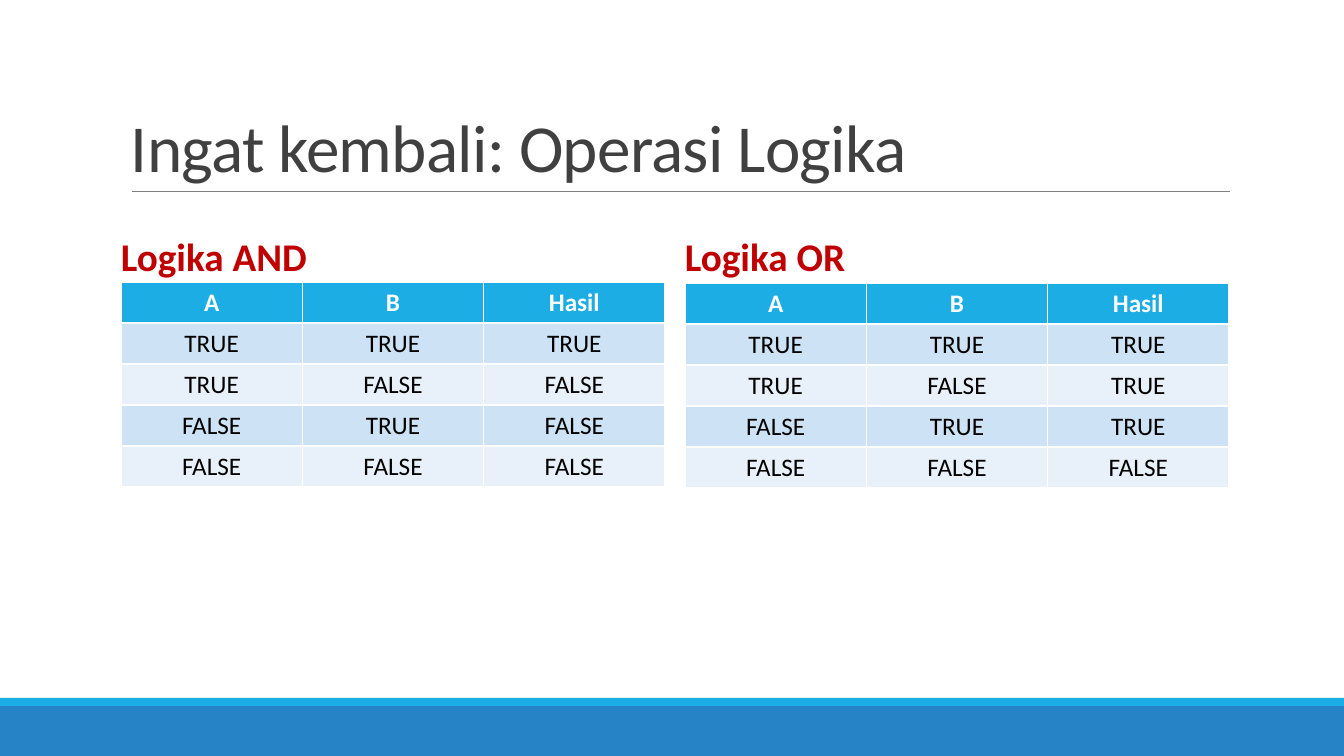
from dataclasses import dataclass
from itertools import product
from typing import Callable

from pptx import Presentation
from pptx.dml.color import RGBColor
from pptx.enum.shapes import MSO_CONNECTOR, MSO_SHAPE
from pptx.enum.text import MSO_ANCHOR, PP_ALIGN
from pptx.oxml.ns import qn
from pptx.shapes.autoshape import Shape
from pptx.slide import Slide
from pptx.util import Pt

EMU_PER_PX = 914400 / 100.8
FONT = "Calibri"
WHITE = RGBColor(0xFF, 0xFF, 0xFF)
BLACK = RGBColor(0x00, 0x00, 0x00)
CYAN = RGBColor(0x1C, 0xAD, 0xE4)
BLUE = RGBColor(0x26, 0x83, 0xC6)
GRAY = RGBColor(0x80, 0x80, 0x80)
DARK_GRAY = RGBColor(0x40, 0x40, 0x40)
RED = RGBColor(0xC0, 0x00, 0x00)
BANDS = (RGBColor(0xCD, 0xE3, 0xF5), RGBColor(0xE8, 0xF1, 0xFA))

HEADER = ("A", "B", "Hasil")
ROW_HEIGHT = 41
TABLE_WIDTH = 544


@dataclass(frozen=True)
class Bar:
    top: int
    height: int
    color: RGBColor


@dataclass(frozen=True)
class TruthTable:
    heading: str
    left: int
    top: int
    heading_width: int
    operation: Callable[[bool, bool], bool]


BARS = (Bar(706, 50, BLUE), Bar(698, 8, CYAN))
TRUTH_TABLES = (
    TruthTable("Logika AND", 121, 282, 209, lambda a, b: a and b),
    TruthTable("Logika OR", 685, 283, 183, lambda a, b: a or b),
)


def px(length: float) -> int:
    return round(length * EMU_PER_PX)


def add_bar(slide: Slide, bar: Bar) -> None:
    stripe = slide.shapes.add_shape(
        MSO_SHAPE.RECTANGLE, 0, px(bar.top), px(1344), px(bar.height))
    stripe.shadow.inherit = False
    stripe.fill.solid()
    stripe.fill.fore_color.rgb = bar.color
    stripe.line.fill.background()


def add_text(slide: Slide, text: str, left: int, top: int, width: int,
             height: int, size: int, color: RGBColor, bold: bool) -> Shape:
    label = slide.shapes.add_textbox(px(left), px(top), px(width), px(height))
    paragraph = label.text_frame.paragraphs[0]
    paragraph.text = text
    paragraph.font.name = FONT
    paragraph.font.size = Pt(size)
    paragraph.font.bold = bold
    paragraph.font.color.rgb = color
    return label


def add_title(slide: Slide) -> None:
    title = add_text(slide, "Ingat kembali: Operasi Logika",
                     121, 31, 1109, 160, 48, DARK_GRAY, False)
    title.text_frame.word_wrap = True
    title.text_frame.vertical_anchor = MSO_ANCHOR.BOTTOM
    paragraph = title.text_frame.paragraphs[0]
    paragraph.line_spacing = 0.85
    # Letters set half a point closer
    paragraph.runs[0].font._element.set("spc", "-50")

    rule = slide.shapes.add_connector(
        MSO_CONNECTOR.STRAIGHT, px(132), px(191), px(1230), px(191))
    rule.line.color.rgb = GRAY
    rule.line.width = Pt(0.5)
    properties = rule._element.spPr
    properties.append(properties.makeelement(qn("a:effectLst"), {}))


def add_truth_table(slide: Slide, truth: TruthTable) -> None:
    # One row for each combination of A and B
    rows = [HEADER]
    for a, b in product((True, False), repeat=2):
        rows.append(tuple(str(value).upper()
                          for value in (a, b, truth.operation(a, b))))

    table = slide.shapes.add_table(
        len(rows), len(HEADER), px(truth.left), px(truth.top),
        px(TABLE_WIDTH), px(ROW_HEIGHT * len(rows))).table
    for r, values in enumerate(rows):
        is_header = r == 0
        table.rows[r].height = px(ROW_HEIGHT)
        for c, value in enumerate(values):
            cell = table.cell(r, c)
            cell.fill.solid()
            cell.fill.fore_color.rgb = CYAN if is_header else BANDS[(r - 1) % 2]
            paragraph = cell.text_frame.paragraphs[0]
            paragraph.text = value
            paragraph.alignment = PP_ALIGN.CENTER
            paragraph.font.name = FONT
            paragraph.font.size = Pt(18)
            paragraph.font.bold = is_header
            paragraph.font.color.rgb = WHITE if is_header else BLACK

    heading = add_text(slide, truth.heading, truth.left - 10, 227,
                       truth.heading_width, 57, 28, RED, True)
    heading.text_frame.word_wrap = False


def main() -> None:
    presentation = Presentation()
    presentation.slide_width = px(1344)
    presentation.slide_height = px(756)
    slide = presentation.slides.add_slide(presentation.slide_layouts[6])

    # Footer bars
    for bar in BARS:
        add_bar(slide, bar)

    # Title with its rule
    add_title(slide)

    # Truth tables with their headings
    for truth in TRUTH_TABLES:
        add_truth_table(slide, truth)

    presentation.save("out.pptx")


if __name__ == "__main__":
    main()
